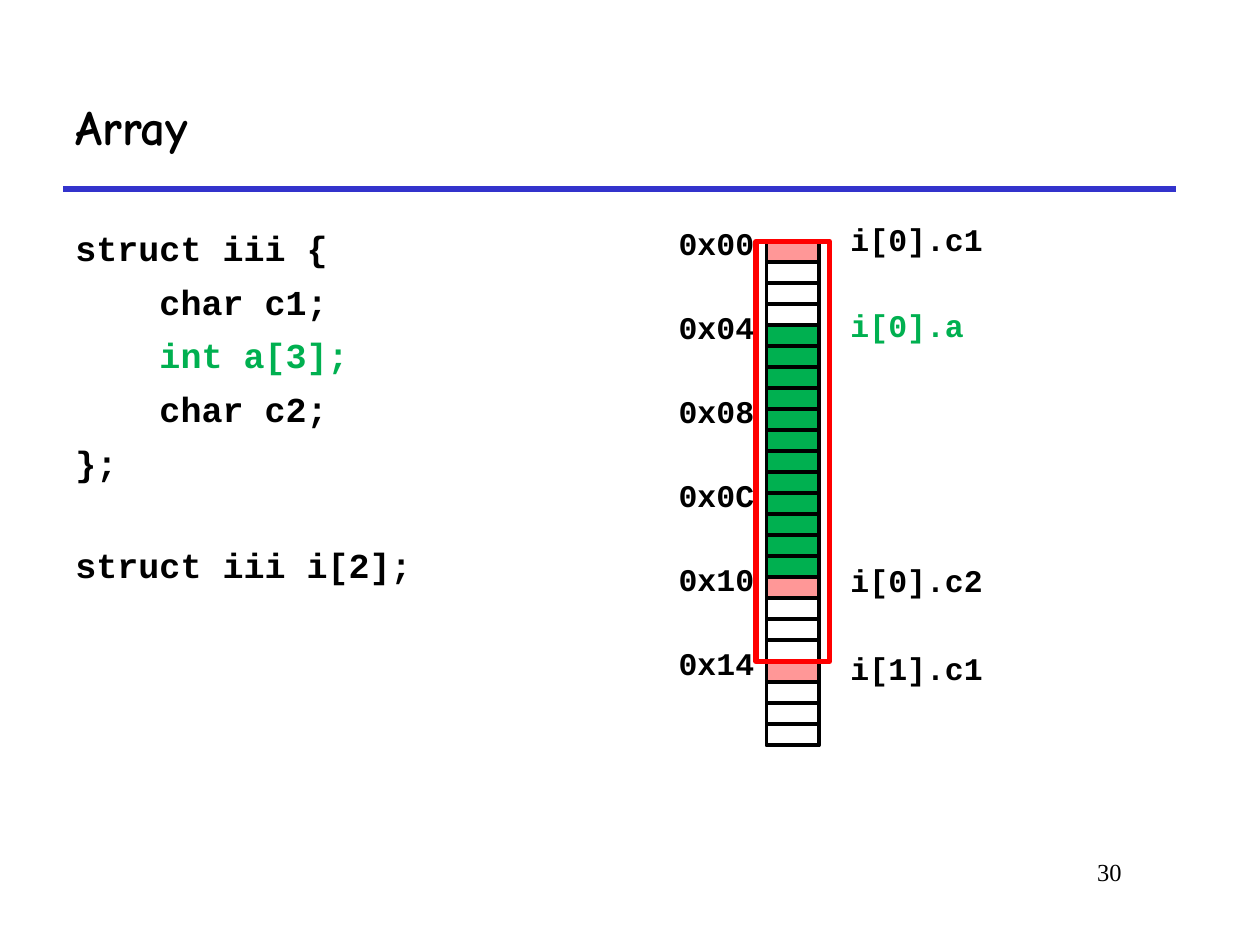
from lxml import etree
from pptx import Presentation
from pptx.dml.color import RGBColor
from pptx.enum import shapes, text
from pptx.oxml.ns import qn
from pptx.util import Pt

BLACK, GREEN, PINK = "000000", "00B050", "FF9797"
CODE_FONT = "Courier New"
CODE = [
    ("struct iii {", BLACK, 0),
    ("    char c1;", BLACK, 6.6),
    ("    int a[3];", GREEN, 6.6),
    ("    char c2;", BLACK, 6.6),
    ("};", BLACK, 6.6),
    ("struct iii i[2];", BLACK, 34.5),
]
BYTE_FILLS = ([PINK] + [None] * 3 + [GREEN] * 12) + ([PINK] + [None] * 3) * 2
ADDRESSES = ["0x00", "0x04", "0x08", "0x0C", "0x10", "0x14"]
FIELDS = [
    ("i[0].c1", BLACK, -15.6),
    ("i[0].a", GREEN, 33.4),
    ("i[0].c2", BLACK, 178.8),
    ("i[1].c1", BLACK, 229.2),
]


def color(value):
    """Turn a hex string into a colour."""
    return RGBColor.from_string(value)


def style(paragraph, font_name, size, value, bold=True):
    """Set the font of a whole paragraph."""
    font = paragraph.font
    font.name, font.size, font.bold = font_name, Pt(size), bold
    font.color.rgb = color(value)


def add_frame(slide, left, top, width, height):
    """Add a wrapping text box and return its text frame."""
    frame = slide.shapes.add_textbox(Pt(left), Pt(top), Pt(width), Pt(height)).text_frame
    frame.word_wrap = True
    return frame


def add_label(slide, box, words, font_name, size, value=BLACK, bold=True, right=False):
    """Add a one-line label and return its text frame."""
    frame = add_frame(slide, *box)
    line = frame.paragraphs[0]
    line.text = words
    line.alignment = text.PP_ALIGN.RIGHT if right else text.PP_ALIGN.LEFT
    style(line, font_name, size, value, bold)
    return frame


def add_box(slide, left, top, width, height, fill, outline, weight):
    """Add an outlined rectangle, filled or hollow."""
    box = slide.shapes.add_shape(
        shapes.MSO_SHAPE.RECTANGLE, Pt(left), Pt(top), Pt(width), Pt(height))
    box.shadow.inherit = False
    if fill:
        box.fill.solid()
        box.fill.fore_color.rgb = color(fill)
    else:
        box.fill.background()
    box.line.color.rgb = color(outline)
    box.line.width = Pt(weight)


def add_heading(slide, left, top, width, height):
    """Place the title with the rule below it."""
    rule = slide.shapes.add_connector(
        shapes.MSO_CONNECTOR.STRAIGHT, Pt(left), Pt(top + height),
        Pt(left + width), Pt(top + height))
    rule.line.color.rgb = color("3333CC")
    rule.line.width = Pt(3)
    etree.SubElement(rule._element.spPr, qn("a:effectLst"))
    title = slide.shapes.title
    title.left, title.top, title.width, title.height = map(Pt, (left, top, width, height))
    title.text_frame.text = "Array"
    title.text_frame.vertical_anchor = text.MSO_ANCHOR.MIDDLE
    heading = title.text_frame.paragraphs[0]
    heading.alignment = text.PP_ALIGN.LEFT
    style(heading, "Comic Neue", 28, BLACK)


def add_code(slide, left, top, width, height):
    """Write the struct declaration line by line."""
    frame = add_frame(slide, left, top, width, height)
    for index, (words, value, gap) in enumerate(CODE):
        line = frame.add_paragraph() if index else frame.paragraphs[0]
        line.text = words
        line.space_before = Pt(gap)
        style(line, CODE_FONT, 20, value)


def add_memory(slide, left, top, width, cell):
    """Draw the byte column with its addresses, fields and element outline."""
    for row, address in enumerate(ADDRESSES):
        add_label(slide, (left - 60, top + row * 4 * cell - 13.5, 60, 28.8),
                  address, CODE_FONT, 18, right=True)
    for row, fill in enumerate(BYTE_FILLS):
        add_box(slide, left, top + row * cell, width, cell, fill, BLACK, 2.25)
    for field, value, offset in FIELDS:
        frame = add_label(slide, (left + width, top + offset, 108, 28.8),
                          field, CODE_FONT, 18, value)
        frame.margin_left = Pt(18)
    add_box(slide, left - 6, top, width + 12, 20 * cell, None, "FF0000", 3)


def main():
    """Build and save the slide."""
    deck = Presentation()
    deck.slide_width, deck.slide_height = Pt(720), Pt(540)
    slide = deck.slides.add_slide(deck.slide_layouts[5])
    add_heading(slide, 36, 36, 636, 72)
    add_code(slide, 36, 126, 240, 306)
    add_memory(slide, 438, 138, 30, 12)
    add_label(slide, (546, 486, 102, 36), "30", "Times New Roman", 14, bold=False, right=True)
    deck.save("out.pptx")


if __name__ == "__main__":
    main()
